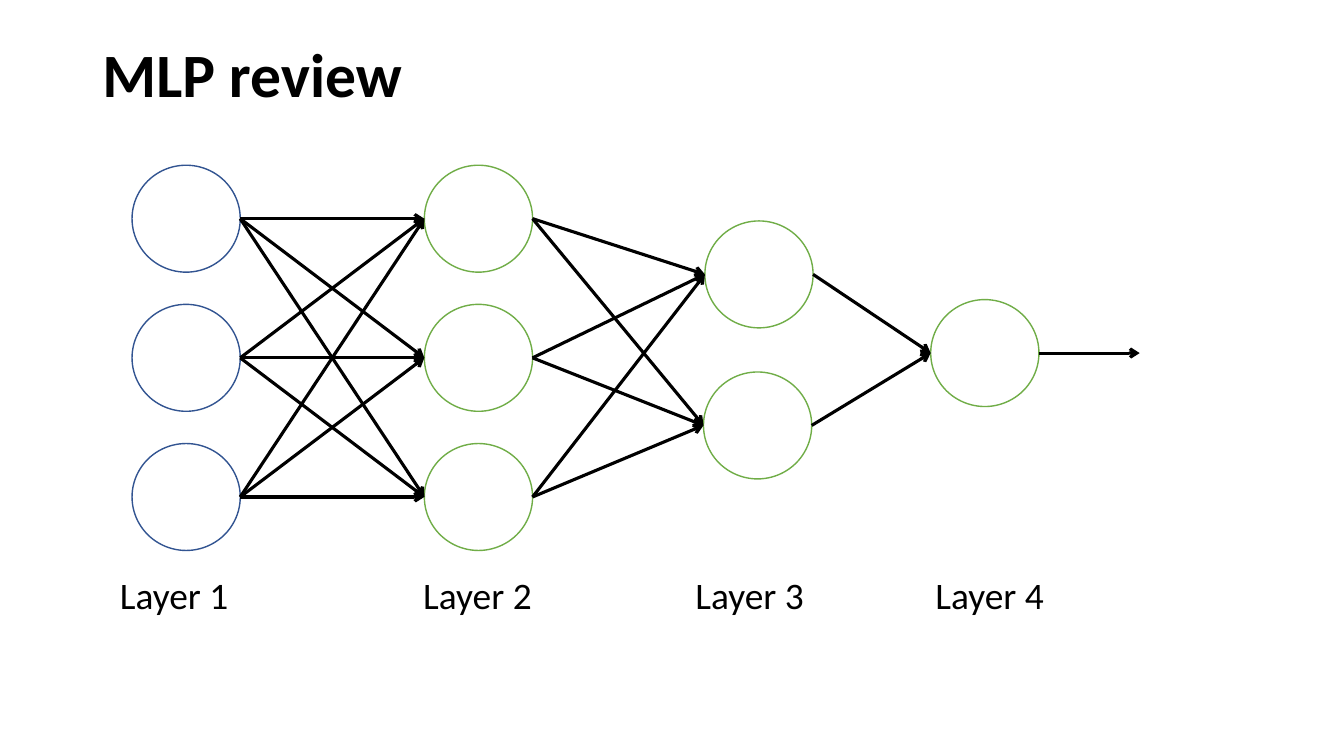
import itertools

import pptx
import pptx.util
import pptx.dml.color
import pptx.enum.shapes
import pptx.enum.text
import pptx.oxml
import pptx.oxml.ns

Pt = pptx.util.Pt
BLACK = pptx.dml.color.RGBColor(0x00, 0x00, 0x00)
WHITE = pptx.dml.color.RGBColor(0xFF, 0xFF, 0xFF)
BLUE = pptx.dml.color.RGBColor(0x32, 0x54, 0x91)
GREEN = pptx.dml.color.RGBColor(0x70, 0xAD, 0x47)

FONT = "Calibri"
NODE_WIDTH, NODE_HEIGHT = 77.3, 76.4
LABEL_WIDTH, LABEL_HEIGHT, LABEL_TOP = 93, 39.6, 287.4
OUTPUT_LENGTH = 72

# Offsets from the diagram box: name, label left, outline, (left, top) of each node
LAYERS = [
    ("Layer 1", 0, BLUE, [(15.8, row * 99.4) for row in range(3)]),
    ("Layer 2", 216.7, GREEN, [(224.6, row * 99.4) for row in range(3)]),
    ("Layer 3", 411.1, GREEN, [(425, 39.8), (424, 147.7)]),
    ("Layer 4", 582.5, GREEN, [(586.3, 96)]),
]


def style_text(paragraph, size, bold=False):
    paragraph.font.name = FONT
    paragraph.font.size = Pt(size)
    paragraph.font.bold = bold
    paragraph.font.color.rgb = BLACK


def add_title(slide, left, top, width, height):
    title = slide.shapes.title
    title.left, title.top, title.width, title.height = map(Pt, (left, top, width, height))
    title.text_frame.text = "MLP review"
    title.text_frame.auto_size = pptx.enum.text.MSO_AUTO_SIZE.NONE
    title.text_frame.vertical_anchor = pptx.enum.text.MSO_ANCHOR.MIDDLE
    paragraph = title.text_frame.paragraphs[0]
    paragraph.alignment = pptx.enum.text.PP_ALIGN.LEFT
    paragraph.line_spacing = 0.9
    style_text(paragraph, 44, bold=True)


def add_node(slide, left, top, outline):
    node = slide.shapes.add_shape(pptx.enum.shapes.MSO_SHAPE.OVAL, Pt(left), Pt(top),
                                  Pt(NODE_WIDTH), Pt(NODE_HEIGHT))
    node.shadow.inherit = False
    node.fill.solid()
    node.fill.fore_color.rgb = WHITE
    node.line.color.rgb = outline
    node.line.width = Pt(1)


def add_arrow(slide, start, end):
    arrow = slide.shapes.add_connector(pptx.enum.shapes.MSO_CONNECTOR.STRAIGHT,
                                       *map(Pt, (*start, *end)))
    arrow.line.color.rgb = BLACK
    arrow.line.width = Pt(2.25)
    head = pptx.oxml.parse_xml(f'<a:tailEnd {pptx.oxml.ns.nsdecls("a")} type="arrow"/>')
    arrow.line._get_or_add_ln().append(head)
    arrow._element.spPr.append(
        pptx.oxml.parse_xml(f'<a:effectLst {pptx.oxml.ns.nsdecls("a")}/>'))


def add_label(slide, text, left, top):
    label = slide.shapes.add_textbox(Pt(left), Pt(top), Pt(LABEL_WIDTH), Pt(LABEL_HEIGHT))
    label.text_frame.word_wrap = False
    label.text_frame.auto_size = pptx.enum.text.MSO_AUTO_SIZE.SHAPE_TO_FIT_TEXT
    label.text_frame.text = text
    style_text(label.text_frame.paragraphs[0], 26.7)


def add_network(slide, left, top):
    def entry(node):
        return left + node[0], top + node[1] + NODE_HEIGHT / 2

    def exit_point(node):
        x, y = entry(node)
        return x + NODE_WIDTH, y

    # Neurons and layer names
    for name, label_left, outline, nodes in LAYERS:
        add_label(slide, name, left + label_left, top + LABEL_TOP)
        for node_left, node_top in nodes:
            add_node(slide, left + node_left, top + node_top, outline)

    # Every neuron feeds every neuron of the next layer
    columns = [nodes for _, _, _, nodes in LAYERS]
    for sources, targets in itertools.pairwise(columns):
        for source, target in itertools.product(sources, targets):
            add_arrow(slide, exit_point(source), entry(target))

    # Network output
    x, y = exit_point(columns[-1][0])
    add_arrow(slide, (x, y), (x + OUTPUT_LENGTH, y))


def main():
    deck = pptx.Presentation()
    deck.slide_width, deck.slide_height = Pt(960), Pt(540)
    slide = deck.slides.add_slide(deck.slide_layouts[5])
    add_title(slide, 66, 28.8, 828, 52.6)
    add_network(slide, 78.5, 118)
    deck.save("out.pptx")


if __name__ == "__main__":
    main()
